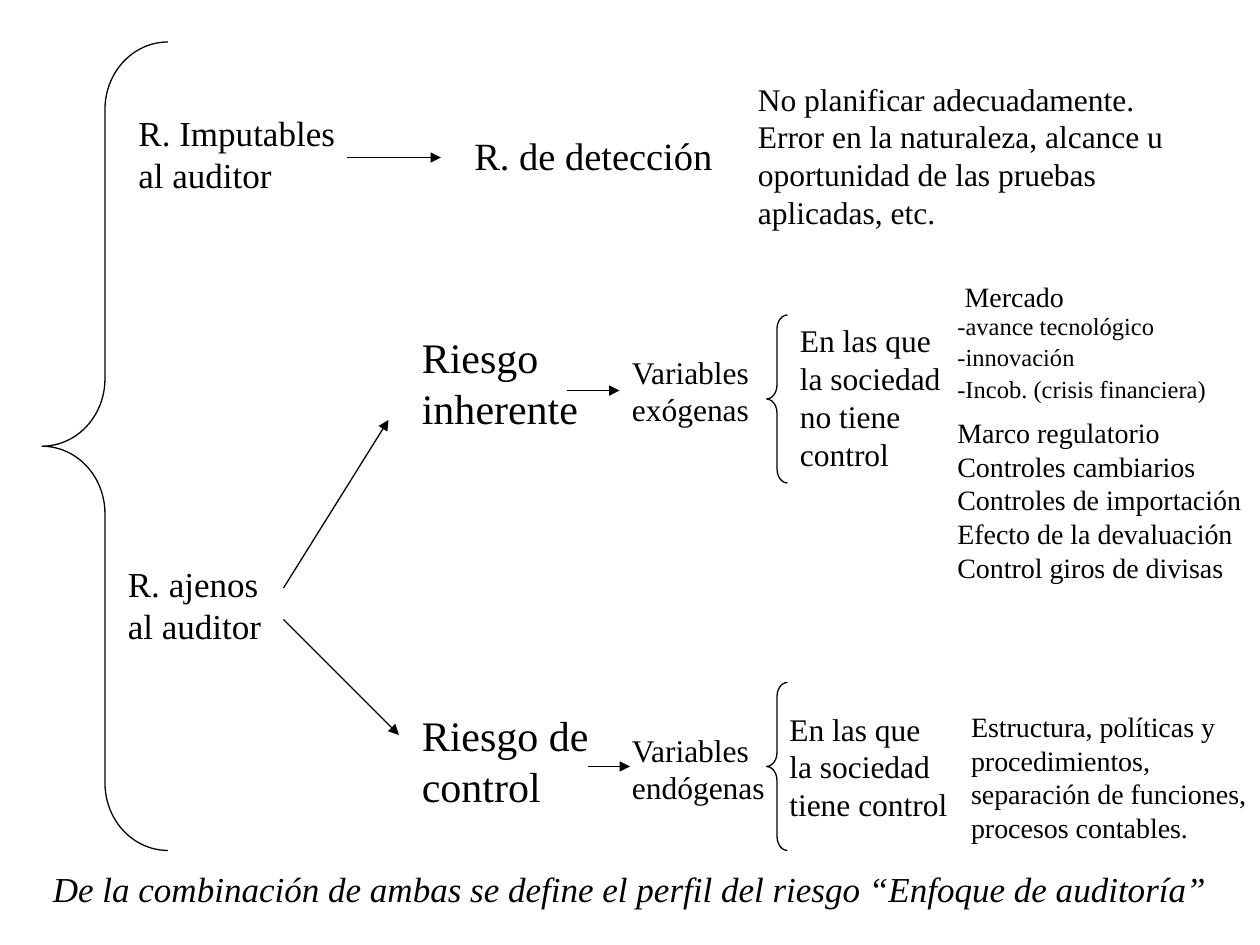
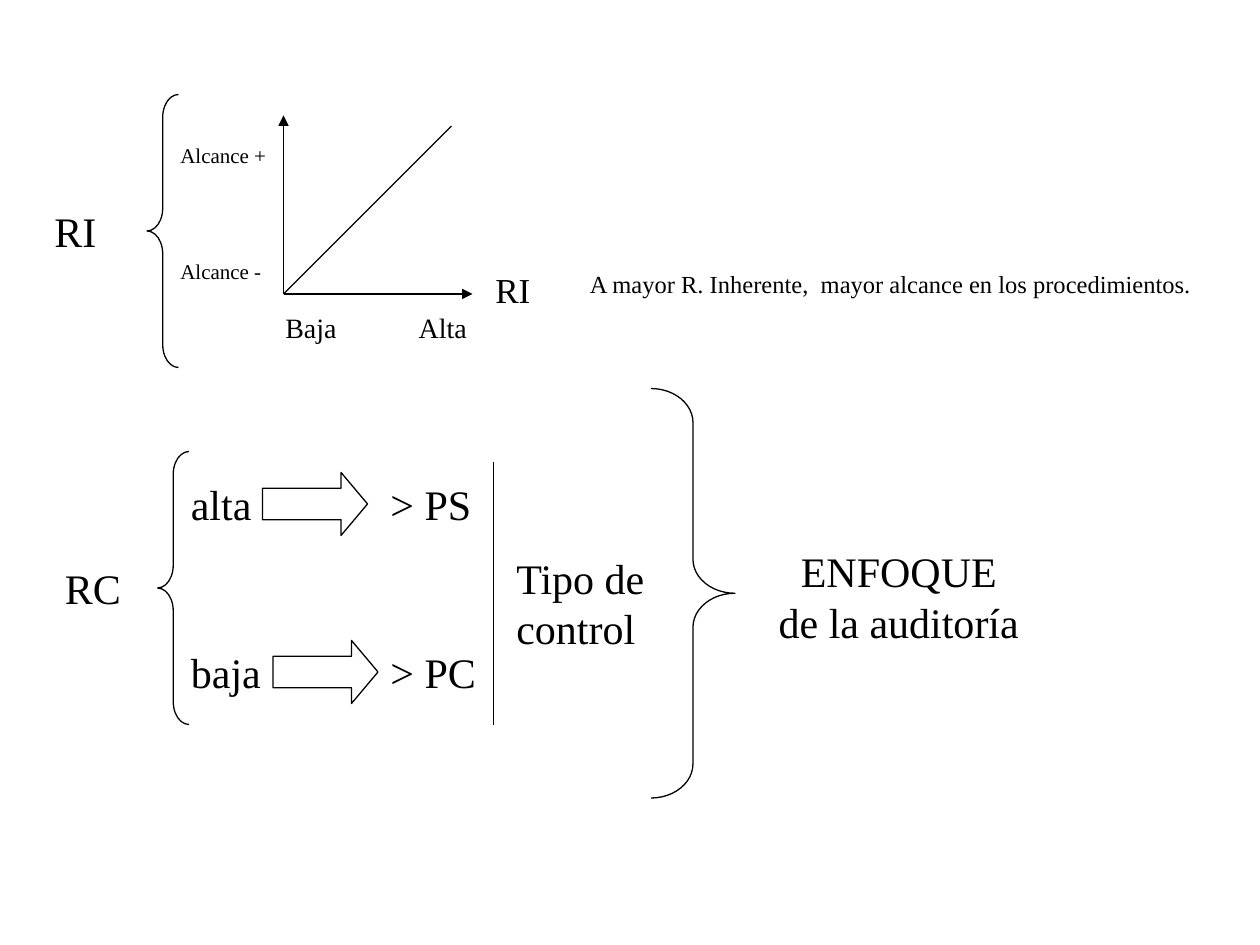
import dataclasses

import lxml.etree
import pptx
import pptx.dml.color
import pptx.enum.shapes
import pptx.enum.text
import pptx.oxml.ns
import pptx.util

COLUMNS, ROWS = 120, 90
SHAPES = pptx.enum.shapes.MSO_SHAPE
ALIGN = pptx.enum.text.PP_ALIGN


@dataclasses.dataclass(frozen=True)
class Theme:
    font: str = "Times New Roman"
    ink: pptx.dml.color.RGBColor = pptx.dml.color.RGBColor(0, 0, 0)
    paper: pptx.dml.color.RGBColor = pptx.dml.color.RGBColor(255, 255, 255)
    line_width: float = 0.75
    line_spacing: float = 1.2
    heading: int = 24
    subheading: int = 22
    branch: int = 20
    body: int = 18
    detail: int = 16
    note: int = 14
    axis: int = 12


def add_element(parent, tag, **attributes):
    return lxml.etree.SubElement(parent, pptx.oxml.ns.qn(tag), **attributes)


class Diagram:
    """Draws on the current slide; positions are columns and rows of the grid."""

    def __init__(self, presentation, theme):
        self.presentation = presentation
        self.theme = theme
        self.slide = None

    def new_slide(self):
        self.slide = self.presentation.slides.add_slide(self.presentation.slide_layouts[6])
        fill = self.slide.background.fill
        fill.solid()
        fill.fore_color.rgb = self.theme.paper

    def x(self, column):
        return round(self.presentation.slide_width * column / COLUMNS)

    def y(self, row):
        return round(self.presentation.slide_height * row / ROWS)

    def text(self, text, column, row, width, size, *, lines=None,
             align=ALIGN.LEFT, italic=False, tab=None):
        """Add a text box whose height follows from its lines; tab is a stop in columns."""
        lines = lines or text.count("\n") + 1
        height = pptx.util.Pt(lines * size * self.theme.line_spacing) + pptx.util.Inches(0.1)
        shape = self.slide.shapes.add_textbox(self.x(column), self.y(row), self.x(width), height)
        frame = shape.text_frame
        frame.word_wrap = True
        frame.auto_size = pptx.enum.text.MSO_AUTO_SIZE.SHAPE_TO_FIT_TEXT
        frame.text = text
        for paragraph in frame.paragraphs:
            paragraph.alignment = align
            if tab:
                stops = add_element(paragraph._p.get_or_add_pPr(), "a:tabLst")
                add_element(stops, "a:tab", pos=str(self.x(tab)), algn="l")
            for run in paragraph.runs:
                run.font.name = self.theme.font
                run.font.size = pptx.util.Pt(size)
                run.font.italic = italic
                run.font.color.rgb = self.theme.ink
        return shape

    def ink_line(self, line):
        line.color.rgb = self.theme.ink
        line.width = pptx.util.Pt(self.theme.line_width)

    def outline(self, kind, column, row, width, height, adjustments):
        shape = self.slide.shapes.add_shape(
            kind, self.x(column), self.y(row), self.x(width), self.y(height))
        for index, value in enumerate(adjustments):
            shape.adjustments[index] = value
        shape.shadow.inherit = False
        shape.fill.background()
        self.ink_line(shape.line)

    def brace(self, column, row, width, height, kind=SHAPES.LEFT_BRACE):
        """Add a brace whose curls each take a twelfth of its height."""
        self.outline(kind, column, row, width, height, (height / 12 / width, 0.5))

    def block_arrow(self, column, row):
        self.outline(SHAPES.RIGHT_ARROW, column, row, 10, 6, (0.5, 0.42))

    def line(self, start, end, *, arrow=True, target=None):
        """Draw a line; a target box is joined at the middle of its left side."""
        connector = self.slide.shapes.add_connector(
            pptx.enum.shapes.MSO_CONNECTOR.STRAIGHT,
            self.x(start[0]), self.y(start[1]), self.x(end[0]), self.y(end[1]))
        self.ink_line(connector.line)
        if arrow:
            add_element(connector.line._get_or_add_ln(), "a:tailEnd", type="triangle")
        add_element(connector._element.spPr, "a:effectLst")
        if target is not None:
            connector.end_connect(target, 1)


def draw_risk_tree(diagram):
    theme = diagram.theme
    diagram.new_slide()
    diagram.brace(4, 4, 12, 77)

    diagram.text("R. Imputables\nal auditor", 12, 10, 22, theme.branch)
    diagram.line((33, 15), (42, 15))
    diagram.text("R. de detección", 44, 12, 27, theme.subheading)
    diagram.text("No planificar adecuadamente. Error en la naturaleza, alcance u "
                 "oportunidad de las pruebas aplicadas, etc.",
                 71, 7, 43, theme.body, lines=4)

    diagram.text("R. ajenos\nal auditor", 11, 53, 16, theme.branch)
    diagram.line((27, 56), (37, 40))
    diagram.line((27, 59), (38, 70))

    diagram.text("Riesgo\ninherente", 39, 31, 18, theme.heading)
    exogenous = diagram.text("Variables\nexógenas", 59, 33, 15, theme.body)
    diagram.line((54, 37.2), (59, 37.2), target=exogenous)
    diagram.brace(73, 30, 2, 16)
    diagram.text("En las que\nla sociedad\nno tiene\ncontrol", 75, 30, 17, theme.body)
    diagram.text("Mercado", 90.7, 26, 13, theme.detail)
    market = (("-avance tecnológico", 22), ("-innovación", 15),
              ("-Incob. (crisis financiera)", 30))
    for index, (factor, width) in enumerate(market):
        diagram.text(factor, 90, 29 + 3 * index, width, theme.note)
    diagram.text("Marco regulatorio\nControles cambiarios\nControles de importación\n"
                 "Efecto de la devaluación\nControl giros de divisas",
                 90, 39, 30, theme.detail)

    diagram.text("Riesgo de\ncontrol", 39, 67, 19.5, theme.heading)
    diagram.line((56, 73), (60, 73))
    diagram.text("Variables\nendógenas", 59, 69, 16, theme.body)
    diagram.brace(73, 65, 2, 16)
    diagram.text("En las que\nla sociedad\ntiene control", 74, 67, 18.5, theme.body)
    diagram.text("Estructura, políticas y\nprocedimientos,\nseparación de funciones,\n"
                 "procesos contables.", 91.3, 67, 28.7, theme.detail)

    diagram.text("De la combinación de ambas se define el perfil del riesgo "
                 "“Enfoque de auditoría”", 0, 82, COLUMNS, theme.branch,
                 align=ALIGN.CENTER, italic=True)


def draw_audit_approach(diagram):
    theme = diagram.theme
    diagram.new_slide()

    diagram.text("RI", 4, 19, 7, theme.heading)
    diagram.brace(14, 9, 3, 26)
    origin = (27, 28)
    diagram.line(origin, (27, 11))
    diagram.line(origin, (45, 28))
    diagram.line(origin, (43, 12), arrow=False)
    for label, row in (("Alcance +", 13), ("Alcance -", 24)):
        diagram.text(label, 16, row, 12, theme.axis)
    diagram.text("Baja\tAlta", 26, 29, 21, theme.detail, tab=12.7)
    diagram.text("RI", 46, 25, 7, theme.branch)
    diagram.text("A mayor R. Inherente,  mayor alcance en los procedimientos.",
                 55, 25, 61, theme.note)

    diagram.text("RC", 5, 53, 9, theme.heading)
    diagram.brace(15, 43, 3, 26)
    levels = (("alta", 25, "> PS", 45), ("baja", 26, "> PC", 61))
    for level, arrow_column, tests, row in levels:
        diagram.text(level, 17, row, 10, theme.heading)
        diagram.block_arrow(arrow_column, row)
        diagram.text(tests, 36, row, 12, theme.heading)
    diagram.line((47, 44), (47, 69), arrow=False)
    diagram.text("Tipo de\ncontrol", 48, 52, 17, theme.heading)
    diagram.brace(62, 37, 8, 39, SHAPES.RIGHT_BRACE)
    diagram.text("ENFOQUE\nde la auditoría", 72, 51.4, 27.2, theme.heading,
                 align=ALIGN.CENTER)


def main():
    presentation = pptx.Presentation()
    presentation.slide_width = pptx.util.Inches(10)
    presentation.slide_height = pptx.util.Inches(7.5)
    diagram = Diagram(presentation, Theme())
    draw_risk_tree(diagram)
    draw_audit_approach(diagram)
    presentation.save("out.pptx")


if __name__ == "__main__":
    main()
